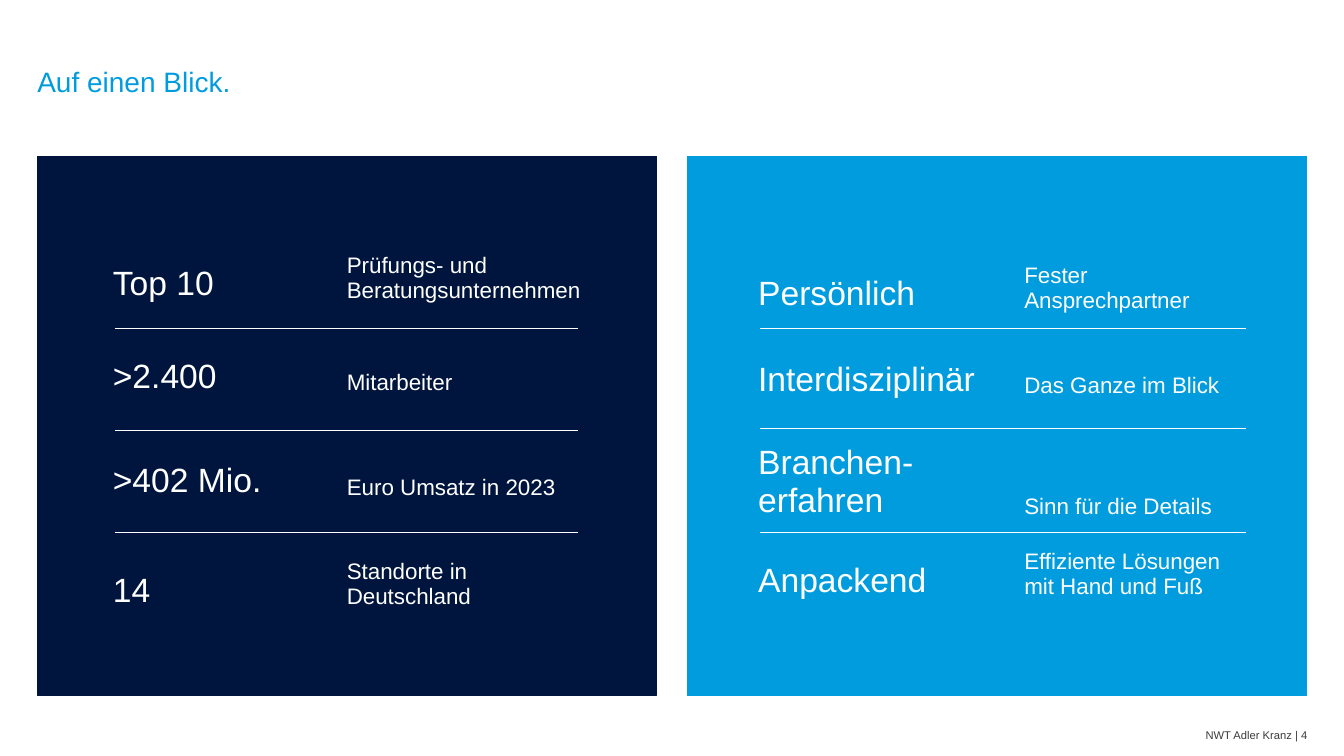
from dataclasses import dataclass

from lxml.etree import SubElement
from pptx import Presentation
from pptx.dml.color import RGBColor
from pptx.enum.shapes import MSO_CONNECTOR, MSO_SHAPE
from pptx.enum.text import MSO_ANCHOR, PP_ALIGN
from pptx.oxml.ns import qn
from pptx.util import Inches, Pt

COLORS = {
    "navy": "00153D",
    "blue": "009CDE",
    "white": "FFFFFF",
    "gray": "3B3B3B",
}
FONT = "Arial"
NO_GRID_STYLE = "{2D5ABB26-0587-4C30-8999-92F81FD0307C}"
PANEL_TOP, PANEL_WIDTH, PANEL_HEIGHT = 1.55, 6.14, 5.35
RULE_INSET = 0.14


@dataclass
class Panel:
    left: float
    color: str
    line_width: float
    table_inset: float
    columns: tuple
    rule_length: float
    rules: tuple
    rows: tuple


PANELS = (
    Panel(0.37, "navy", 0.75, 0.63, (2.32, 2.56), 4.59, (1.71, 2.72, 3.73), (
        (0.84, 0.69, "Top 10", "Prüfungs- und Beratungsunternehmen"),
        (1.86, 0.59, ">2.400", "Mitarbeiter"),
        (2.90, 0.59, ">402 Mio.", "Euro Umsatz in 2023"),
        (3.88, 0.69, "14", "Standorte in Deutschland"),
    )),
    Panel(6.82, "blue", 1, 0.58, (2.64, 2.48), 4.82, (1.71, 2.70, 3.73), (
        (0.94, 0.69, "Persönlich", "Fester Ansprechpartner"),
        (1.89, 0.59, "Interdisziplinär", "Das Ganze im Blick"),
        (2.72, 0.96, "Branchen-erfahren", "Sinn für die Details"),
        (3.78, 0.69, "Anpackend", "Effiziente Lösungen\nmit Hand und Fuß"),
    )),
)


def rgb(name):
    return RGBColor.from_string(COLORS[name])


def write(paragraph, text, size, color, spacing=1.0):
    paragraph.text = text
    paragraph.line_spacing = spacing
    paragraph.space_before = Pt(0)
    paragraph.font.name = FONT
    paragraph.font.size = Pt(size)
    paragraph.font.color.rgb = rgb(color)


def add_label(slide, box, text, size, color, spacing,
              anchor=MSO_ANCHOR.TOP, align=PP_ALIGN.LEFT):
    shape = slide.shapes.add_textbox(*map(Inches, box))
    frame = shape.text_frame
    frame.word_wrap = True
    frame.vertical_anchor = anchor
    frame.margin_left = frame.margin_right = 0
    frame.margin_top = frame.margin_bottom = 0
    write(frame.paragraphs[0], text, size, color, spacing)
    frame.paragraphs[0].alignment = align


def add_fact(slide, left, top, height, columns, texts):
    shape = slide.shapes.add_table(
        1, 2, Inches(left), Inches(top), Inches(sum(columns)), Inches(height))
    table = shape.table
    table.first_row = table.horz_banding = False
    table._tbl.tblPr.find(qn("a:tableStyleId")).text = NO_GRID_STYLE
    for index, (width, text, size) in enumerate(zip(columns, texts, (24, 16))):
        table.columns[index].width = Inches(width)
        cell = table.cell(0, index)
        cell.fill.background()
        cell.vertical_anchor = MSO_ANCHOR.BOTTOM
        cell.margin_left = cell.margin_right = Inches(0.12)
        cell.margin_top = cell.margin_bottom = Inches(0.08)
        write(cell.text_frame.paragraphs[0], text, size, "white")


def add_rule(slide, left, top, length):
    rule = slide.shapes.add_connector(
        MSO_CONNECTOR.STRAIGHT, Inches(left), Inches(top),
        Inches(left + length), Inches(top))
    rule.line.color.rgb = rgb("white")
    rule.line.width = Pt(0.75)
    SubElement(rule._element.spPr, qn("a:effectLst"))


def add_panel(slide, panel):
    shape = slide.shapes.add_shape(
        MSO_SHAPE.RECTANGLE, Inches(panel.left), Inches(PANEL_TOP),
        Inches(PANEL_WIDTH), Inches(PANEL_HEIGHT))
    shape.shadow.inherit = False
    shape.fill.solid()
    shape.fill.fore_color.rgb = rgb(panel.color)
    shape.line.color.rgb = rgb(panel.color)
    shape.line.width = Pt(panel.line_width)
    table_left = panel.left + panel.table_inset
    for offset, height, *texts in panel.rows:
        add_fact(slide, table_left, PANEL_TOP + offset, height,
                 panel.columns, texts)
    for offset in panel.rules:
        add_rule(slide, table_left + RULE_INSET, PANEL_TOP + offset,
                 panel.rule_length)


def main():
    presentation = Presentation()
    presentation.slide_width = Inches(13.33)
    presentation.slide_height = Inches(7.5)
    slide = presentation.slides.add_slide(presentation.slide_layouts[6])
    add_label(slide, (0.37, 0.68, 12.6, 0.59), "Auf einen Blick.",
              20, "blue", 0.9)
    for panel in PANELS:
        add_panel(slide, panel)
    add_label(slide, (11.34, 7.22, 1.63, 0.12), "NWT Adler Kranz | 4",
              8, "gray", 1.2, MSO_ANCHOR.MIDDLE, PP_ALIGN.RIGHT)
    presentation.save("out.pptx")


if __name__ == "__main__":
    main()
